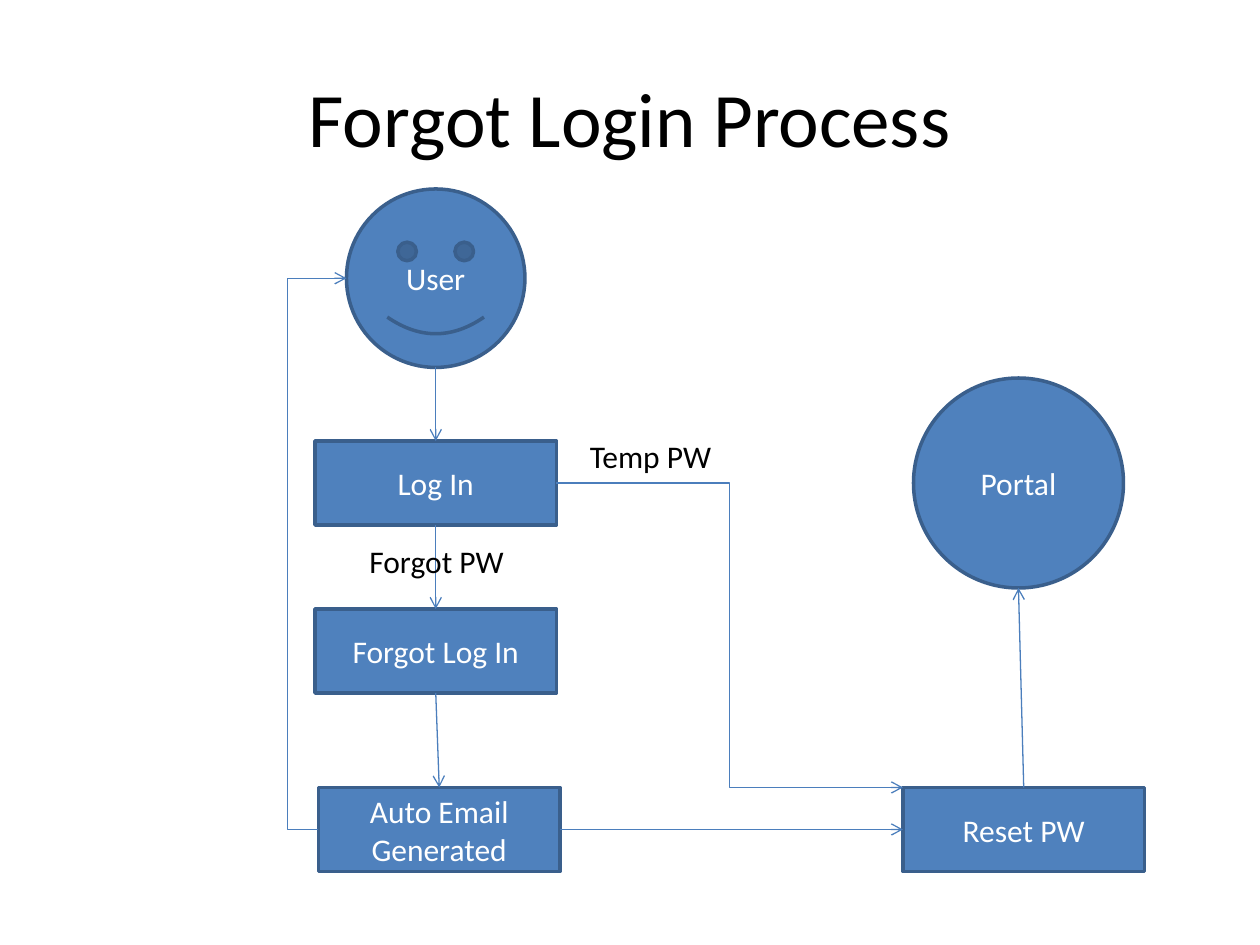
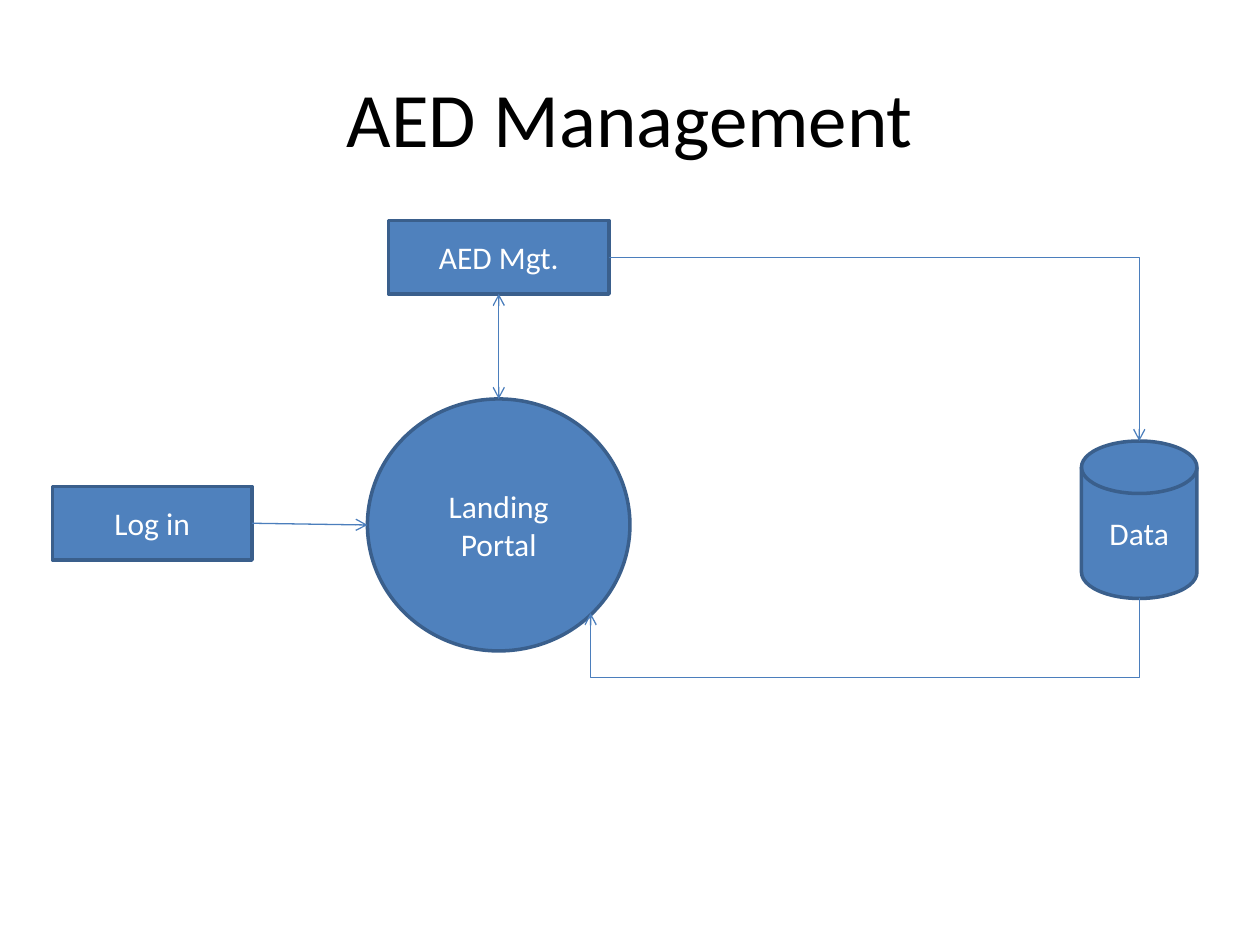
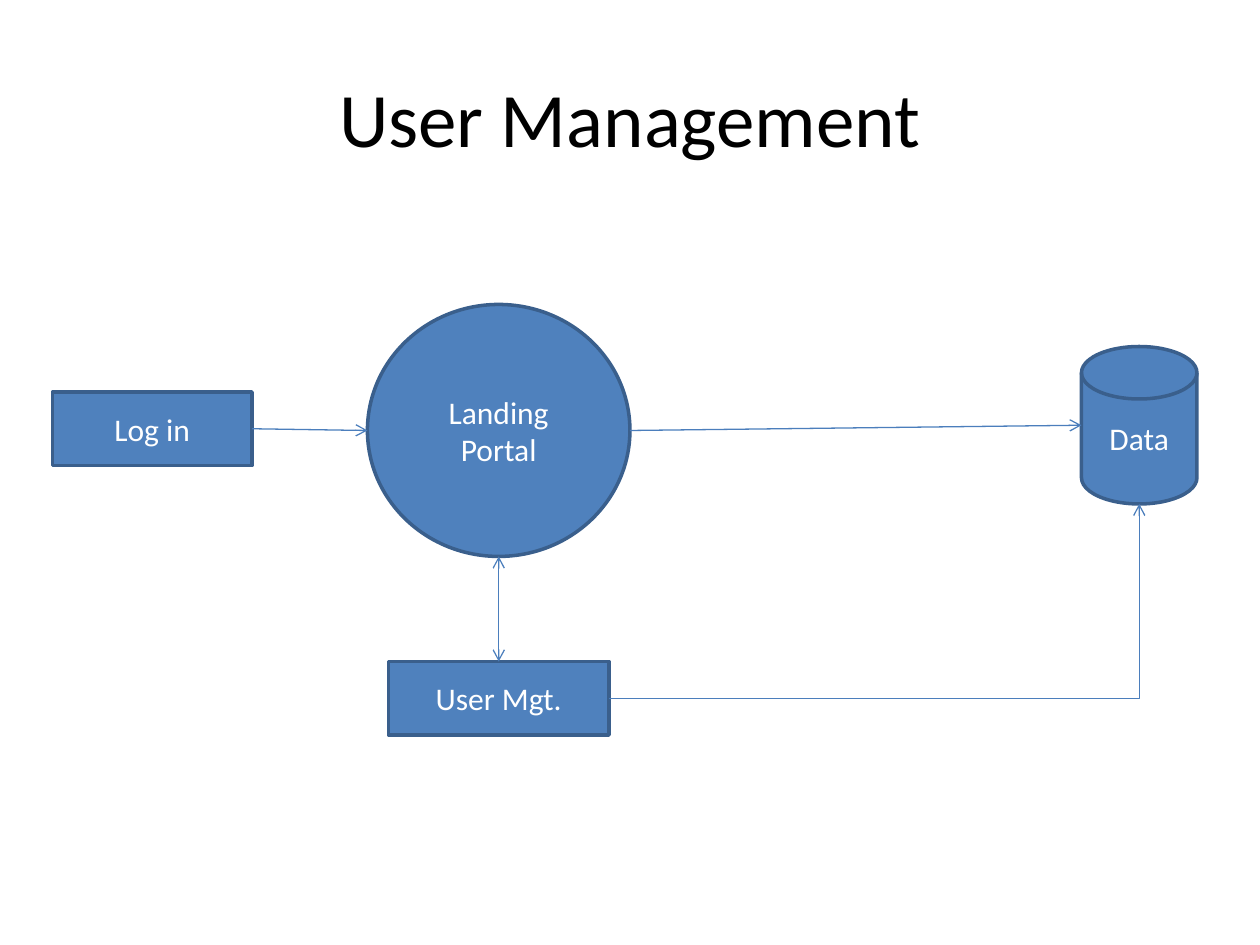
from lxml.etree import SubElement
from pptx import Presentation
from pptx.dml.color import RGBColor
from pptx.enum.shapes import MSO_CONNECTOR, MSO_SHAPE
from pptx.enum.text import MSO_ANCHOR, PP_ALIGN
from pptx.oxml.ns import qn
from pptx.util import Pt

FONT = "Calibri"
FILL, OUTLINE, ARROW = "4F81BD", "3A5F8C", "4B7EBC"
WHITE, BLACK = "FFFFFF", "000000"

ANCHORS = {"top": (0.5, 0), "left": (0, 0.5), "bottom": (0.5, 1),
           "right": (1, 0.5), "lower right": (0.85, 0.85), "upper left": (0, 0)}
BOX_SITES = {"top": 0, "left": 1, "bottom": 2, "right": 3}
ROUND_SITES = {"top": 0, "left": 2, "bottom": 4, "lower right": 5, "right": 6}
DISK_SITES = {"top": 1, "left": 2, "bottom": 3, "right": 4}
SITES = {MSO_SHAPE.FLOWCHART_PROCESS: BOX_SITES, MSO_SHAPE.OVAL: ROUND_SITES,
         MSO_SHAPE.SMILEY_FACE: ROUND_SITES,
         MSO_SHAPE.FLOWCHART_MAGNETIC_DISK: DISK_SITES}


def rgb(value):
    return RGBColor.from_string(value)


def write(frame, text, size, color, align):
    frame.text = text
    for paragraph in frame.paragraphs:
        paragraph.alignment = align
        for run in paragraph.runs:
            run.font.name = FONT
            run.font.size = Pt(size)
            run.font.color.rgb = rgb(color)


def titled_slide(deck, text):
    slide = deck.slides.add_slide(deck.slide_layouts[5])
    title = slide.shapes.title
    title.left, title.top, title.width, title.height = map(Pt, (36, 21.6, 648, 90))
    title.text_frame.vertical_anchor = MSO_ANCHOR.MIDDLE
    write(title.text_frame, text, 44, BLACK, PP_ALIGN.CENTER)
    return slide


def node(slide, text, x, y, width, height, kind=MSO_SHAPE.FLOWCHART_PROCESS):
    shape = slide.shapes.add_shape(kind, Pt(x), Pt(y), Pt(width), Pt(height))
    shape.shadow.inherit = False
    shape.fill.solid()
    shape.fill.fore_color.rgb = rgb(FILL)
    shape.line.color.rgb = rgb(OUTLINE)
    shape.line.width = Pt(2)
    shape.text_frame.vertical_anchor = MSO_ANCHOR.MIDDLE
    write(shape.text_frame, text, 18, WHITE, PP_ALIGN.CENTER)
    return shape


def label(slide, text, x, y, width):
    box = slide.shapes.add_textbox(Pt(x), Pt(y), Pt(width), Pt(29))
    box.text_frame.word_wrap = False
    write(box.text_frame, text, 18, BLACK, PP_ALIGN.LEFT)


def anchor(shape, side):
    across, down = ANCHORS[side]
    return (int(shape.left + across * shape.width),
            int(shape.top + down * shape.height))


def glue(connector, tag, shape, side):
    site = SITES[shape.auto_shape_type].get(side)
    if site is not None:
        holder = connector._element.find(".//" + qn("p:cNvCxnSpPr"))
        SubElement(holder, qn(tag), id=str(shape.shape_id), idx=str(site))


def arrow(slide, source, source_side, target, target_side,
          kind=MSO_CONNECTOR.STRAIGHT, both=False):
    connector = slide.shapes.add_connector(
        kind, *anchor(source, source_side), *anchor(target, target_side))
    glue(connector, "a:stCxn", source, source_side)
    glue(connector, "a:endCxn", target, target_side)
    connector.line.color.rgb = rgb(ARROW)
    connector.line.width = Pt(0.75)
    properties = connector._element.spPr
    line = properties.find(qn("a:ln"))
    if both:
        SubElement(line, qn("a:headEnd"), type="arrow")
    SubElement(line, qn("a:tailEnd"), type="arrow")
    SubElement(properties, qn("a:effectLst"))
    return connector


def elbow(slide, source, source_side, target, target_side,
          bends=2, turn=0, flip="", bend_at=None):
    connector = arrow(slide, source, source_side, target, target_side,
                      MSO_CONNECTOR.ELBOW)
    left, top = connector.left, connector.top
    width, height = connector.width, connector.height
    if turn == 90:
        connector.left = left + (width - height) // 2
        connector.top = top + (height - width) // 2
        connector.width, connector.height = height, width
    properties = connector._element.spPr
    frame = properties.find(qn("a:xfrm"))
    for name in ("flipH", "flipV"):
        frame.attrib.pop(name, None)
    if turn:
        frame.set("rot", str(turn * 60000))
    if flip:
        frame.set(flip, "1")
    geometry = properties.find(qn("a:prstGeom"))
    geometry.set("prst", f"bentConnector{bends + 1}")
    if bend_at is not None:
        guides = geometry.find(qn("a:avLst"))
        if guides is None:
            guides = SubElement(geometry, qn("a:avLst"))
        SubElement(guides, qn("a:gd"), name="adj1",
                   fmla=f"val {round(bend_at * 100000)}")


def forgot_login_flow(slide, x, y):
    step = (138, 48)
    log_in = node(slide, "Log In", x, y + 144, *step)
    portal = node(slide, "Portal", x + 342, y + 108, 120, 120, MSO_SHAPE.OVAL)
    user = node(slide, "User", x + 18, y, 102, 102, MSO_SHAPE.SMILEY_FACE)
    forgot = node(slide, "Forgot Log In", x, y + 240, *step)
    email = node(slide, "Auto Email Generated", x + 2, y + 342, *step)
    reset = node(slide, "Reset PW", x + 336, y + 342, *step)

    for upper, lower in ((user, log_in), (log_in, forgot), (forgot, email)):
        arrow(slide, upper, "bottom", lower, "top")
    arrow(slide, email, "right", reset, "left")
    arrow(slide, reset, "top", portal, "bottom")
    elbow(slide, email, "left", user, "left", turn=180, flip="flipH", bend_at=-1.12)
    elbow(slide, log_in, "right", reset, "upper left", bend_at=0.5)
    label(slide, "Forgot PW", x + 24, y + 198, 92)
    label(slide, "Temp PW", x + 150, y + 138, 85)


def portal_row(slide, x, y):
    log_in = node(slide, "Log in", x, y + 50, 114, 42)
    portal = node(slide, "Landing Portal", x + 180, y, 150, 144, MSO_SHAPE.OVAL)
    data = node(slide, "Data", x + 588, y + 24, 66, 90,
                MSO_SHAPE.FLOWCHART_MAGNETIC_DISK)
    arrow(slide, log_in, "right", portal, "left")
    return portal, data


def aed_flow(slide, x, y):
    portal, data = portal_row(slide, x, y + 102)
    management = node(slide, "AED Mgt.", x + 192, y, 126, 42)
    arrow(slide, portal, "top", management, "bottom", both=True)
    elbow(slide, management, "right", data, "top", bends=1)
    elbow(slide, data, "bottom", portal, "lower right", turn=90, bend_at=5.39)


def user_flow(slide, x, y):
    portal, data = portal_row(slide, x, y)
    management = node(slide, "User Mgt.", x + 192, y + 204, 126, 42)
    arrow(slide, portal, "bottom", management, "top", both=True)
    elbow(slide, management, "right", data, "bottom", bends=1, flip="flipV")
    arrow(slide, portal, "right", data, "left")


deck = Presentation()
deck.slide_width, deck.slide_height = Pt(720), Pt(540)
forgot_login_flow(titled_slide(deck, "Forgot Login Process"), 180, 108)
aed_flow(titled_slide(deck, "AED Management"), 30, 126)
user_flow(titled_slide(deck, "User Management"), 30, 174)
deck.save("out.pptx")
